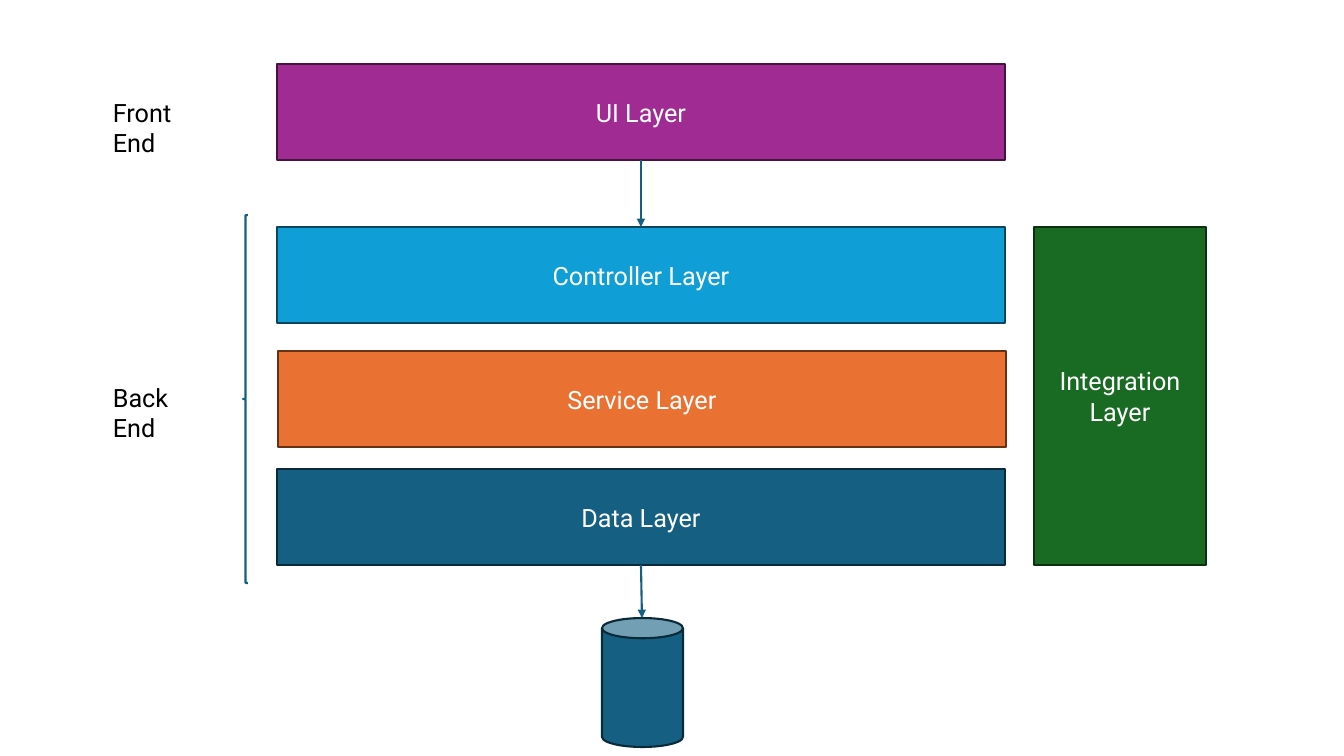
from pptx import Presentation
from pptx.dml.color import RGBColor
from pptx.enum.shapes import MSO_CONNECTOR, MSO_SHAPE
from pptx.enum.text import MSO_ANCHOR, PP_ALIGN
from pptx.oxml.ns import qn
from pptx.util import Inches, Pt
from lxml import etree

RECT, CAN, BRACE = MSO_SHAPE.RECTANGLE, MSO_SHAPE.CAN, MSO_SHAPE.LEFT_BRACE
STRAIGHT = MSO_CONNECTOR.STRAIGHT
CENTER, MIDDLE = PP_ALIGN.CENTER, MSO_ANCHOR.MIDDLE
TOP, BOTTOM = 0, 2  # connection sites of a rectangle

WHITE = RGBColor(0xFF, 0xFF, 0xFF)
BLACK = RGBColor(0x00, 0x00, 0x00)
PURPLE, PURPLE_EDGE = RGBColor(0xA0, 0x2B, 0x93), RGBColor(0x46, 0x13, 0x40)
BLUE, BLUE_EDGE = RGBColor(0x0F, 0x9E, 0xD5), RGBColor(0x07, 0x45, 0x5D)
ORANGE, ORANGE_EDGE = RGBColor(0xE9, 0x71, 0x32), RGBColor(0x66, 0x32, 0x16)
TEAL, TEAL_EDGE = RGBColor(0x15, 0x60, 0x82), RGBColor(0x09, 0x2A, 0x39)
GREEN, GREEN_EDGE = RGBColor(0x19, 0x6B, 0x24), RGBColor(0x0B, 0x2F, 0x10)

SLIDE_W, SLIDE_H = 1344, 756
LAYER_X, LAYER_W, LAYER_H = 277, 728, 96


def px(length):
    return round(length * Inches(1) / 100.8)


class Diagram:
    font, size, line_width = "Roboto", Pt(18), Pt(1.5)

    def __init__(self, slide):
        self.shapes = slide.shapes

    def set_text(self, frame, text, color):
        frame.word_wrap = True
        frame.text = text
        paragraph = frame.paragraphs[0]
        paragraph.font.name = self.font
        paragraph.font.size = self.size
        paragraph.font.color.rgb = color
        return paragraph

    def shape(self, kind, x, y, w, h, edge, fill=None):
        shape = self.shapes.add_shape(kind, px(x), px(y), px(w), px(h))
        shape.shadow.inherit = False
        if fill is None:
            shape.fill.background()
        else:
            shape.fill.solid()
            shape.fill.fore_color.rgb = fill
        shape.line.color.rgb = edge
        shape.line.width = self.line_width
        return shape

    def layer(self, text, x, y, w, h, fill, edge):
        box = self.shape(RECT, x, y, w, h, edge, fill)
        box.text_frame.vertical_anchor = MIDDLE
        self.set_text(box.text_frame, text, WHITE).alignment = CENTER
        return box

    def label(self, text, x, y, w, h):
        box = self.shapes.add_textbox(px(x), px(y), px(w), px(h))
        self.set_text(box.text_frame, text, BLACK)

    def arrow(self, source, x, y, target=None):
        """Arrow from the bottom of source to (x, y), or to the top of target."""
        arrow = self.shapes.add_connector(STRAIGHT, px(x), px(y), px(x), px(y))
        arrow.begin_connect(source, BOTTOM)
        if target is not None:
            arrow.end_connect(target, TOP)
        arrow.line.color.rgb = TEAL
        arrow.line.width = self.line_width
        line = arrow._element.spPr.find(qn("a:ln"))
        etree.SubElement(line, qn("a:tailEnd"), type="triangle")
        etree.SubElement(arrow._element.spPr, qn("a:effectLst"))


def main():
    prs = Presentation()
    prs.slide_width, prs.slide_height = px(SLIDE_W), px(SLIDE_H)
    diagram = Diagram(prs.slides.add_slide(prs.slide_layouts[6]))

    # Stacked layers; the service layer sits one px further right
    layers = {}
    for name, x, y, fill, edge in (
        ("UI Layer", LAYER_X, 64, PURPLE, PURPLE_EDGE),
        ("Controller Layer", LAYER_X, 227, BLUE, BLUE_EDGE),
        ("Service Layer", LAYER_X + 1, 351, ORANGE, ORANGE_EDGE),
        ("Data Layer", LAYER_X, 469, TEAL, TEAL_EDGE),
    ):
        layers[name] = diagram.layer(name, x, y, LAYER_W, LAYER_H, fill, edge)

    # Integration layer beside the back end
    diagram.layer("Integration Layer", 1034, 227, 172, 338, GREEN, GREEN_EDGE)

    # Front and back end labels, with the back end brace
    for text, y in (("Front End", 92), ("Back End", 377)):
        diagram.label(text, 103, y, 100, 70)
    diagram.shape(BRACE, 243, 215, 5, 368, TEAL)

    # Database
    diagram.shape(CAN, 602, 618, 81, 129, TEAL_EDGE, TEAL)

    # Calls between the layers
    diagram.arrow(layers["Data Layer"], 642, 618)
    diagram.arrow(layers["UI Layer"], 641, 227, layers["Controller Layer"])

    prs.save("out.pptx")


if __name__ == "__main__":
    main()
